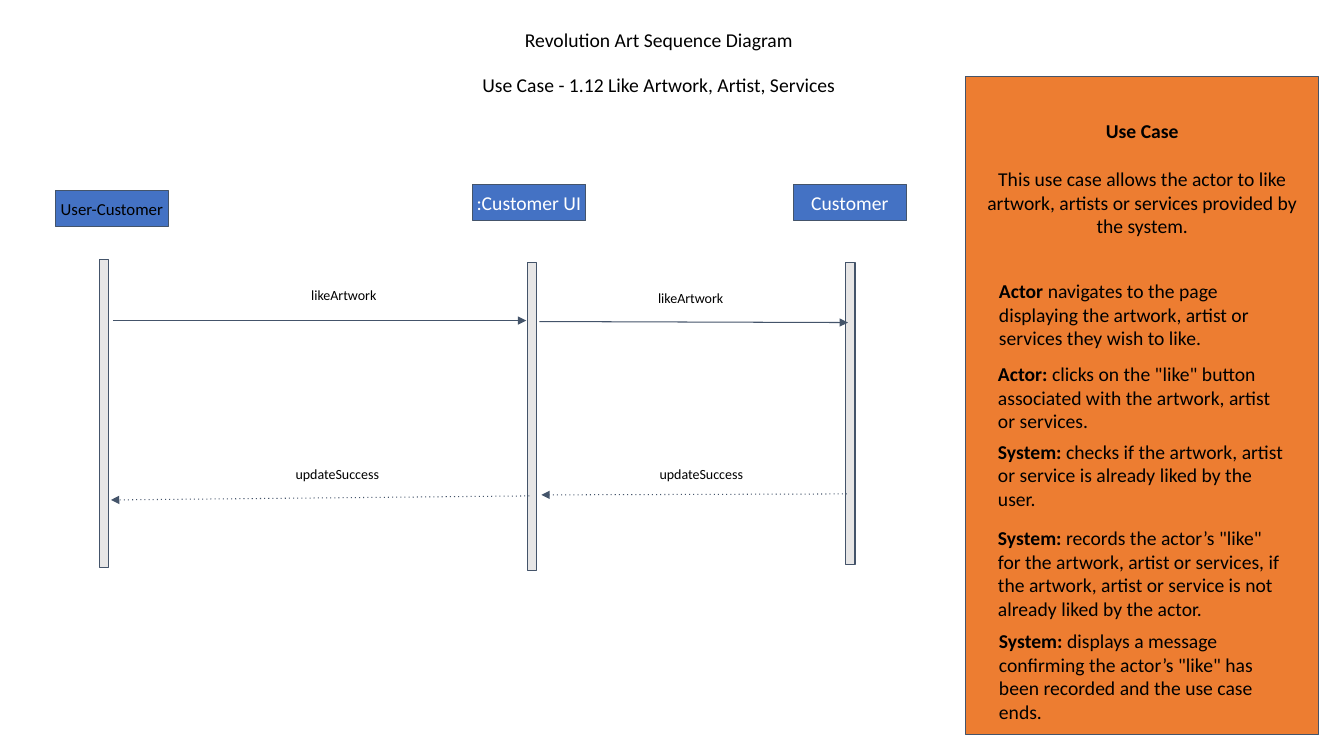
from lxml.etree import SubElement
from pptx import Presentation
from pptx.dml.color import RGBColor
from pptx.enum.shapes import MSO_CONNECTOR, MSO_SHAPE
from pptx.enum.text import PP_ALIGN
from pptx.oxml.ns import qn
from pptx.util import Inches, Pt

COLORS = {
    "blue": "4472C4",
    "slate": "44546A",
    "gray": "E7E6E6",
    "orange": "ED7D31",
    "black": "000000",
    "white": "FFFFFF",
}


def add_rectangle(page, place, fill):
    shape = page.shapes.add_shape(MSO_SHAPE.RECTANGLE, *map(Inches, place))
    shape.shadow.inherit = False
    shape.fill.solid()
    shape.fill.fore_color.rgb = RGBColor.from_string(COLORS[fill])
    shape.line.color.rgb = RGBColor.from_string(COLORS["slate"])
    shape.line.width = Pt(0.75)


def add_text(page, place, spans, size=14, color="black", align=PP_ALIGN.CENTER):
    box = page.shapes.add_textbox(*map(Inches, place))
    frame = box.text_frame
    frame.word_wrap = True
    frame.margin_left = frame.margin_right = Inches(0.1)
    frame.margin_top = frame.margin_bottom = Inches(0.1)
    para = frame.paragraphs[0]
    para.alignment = align
    for words, bold in spans:
        span = para.add_run()
        span.text = words
        span.font.name = "Calibri"
        span.font.size = Pt(size)
        span.font.bold = bold
        span.font.color.rgb = RGBColor.from_string(COLORS[color])


deck = Presentation()
deck.slide_width = Inches(13.33)
deck.slide_height = Inches(7.5)
page = deck.slides.add_slide(deck.slide_layouts[6])

titles = ["Revolution Art Sequence Diagram", "Use Case - 1.12 Like Artwork, Artist, Services"]
for row, title in enumerate(titles):
    add_text(page, (3.69, 0.18 + 0.44 * row, 5.69, 0.44), [(title, False)])

for left, top in [(0.55, 1.89), (4.69, 1.83), (7.87, 1.83)]:
    add_rectangle(page, (left, top, 1.12, 0.36), "blue")

for left, top, height in [(0.99, 2.57, 3.06), (5.23, 2.6, 3.06), (8.39, 2.6, 3)]:
    add_rectangle(page, (left, top, 0.09, height), "gray")

add_rectangle(page, (9.58, 0.76, 3.5, 6.53), "orange")

participants = [
    ("User-Customer", (0.46, 1.87, 1.3, 0.4), 12, "black"),
    (":Customer UI", (2.4, 1.79, 5.69, 0.44), 14, "white"),
    ("Customer", (6.73, 1.79, 3.4, 0.44), 14, "white"),
]
for name, place, size, color in participants:
    add_text(page, place, [(name, False)], size, color)

messages = [
    ("likeArtwork", (2.06, 2.76, 2.7, 0.37), (1.12, 3.18, 5.22, 3.18), False),
    ("likeArtwork", (5.5, 2.79, 2.7, 0.54), (5.35, 3.19, 8.41, 3.2), False),
    ("updateSuccess", (6.04, 4.53, 1.83, 0.37), (8.4, 4.9, 5.37, 4.91), True),
    ("updateSuccess", (2.43, 4.53, 1.83, 0.37), (5.25, 4.92, 1.1, 4.96), True),
]
for label, place, ends, dotted in messages:
    arrow = page.shapes.add_connector(MSO_CONNECTOR.STRAIGHT, *map(Inches, ends))
    arrow.line.color.rgb = RGBColor.from_string(COLORS["slate"])
    arrow.line.width = Pt(0.75)
    outline = arrow.line._get_or_add_ln()
    if dotted:
        SubElement(outline, qn("a:prstDash"), val="dot")
    SubElement(outline, qn("a:tailEnd"), type="triangle")
    SubElement(arrow._element.spPr, qn("a:effectLst"))
    add_text(page, place, [(label, False)], 10)

add_text(page, (9.58, 1.08, 3.5, 0.44), [("Use Case", True)])
summary = "This use case allows the actor to like artwork, artists or services provided by the system."
add_text(page, (9.58, 1.56, 3.5, 1.38), [(summary, False)])

steps = [
    (9.81, 2.67, 0.91, "Actor ",
     "navigates to the page displaying the artwork, artist or services they wish to like."),
    (9.8, 3.49, 0.91, "Actor: ",
     'clicks on the "like" button associated with the artwork, artist or services.'),
    (9.8, 4.26, 0.91, "System: ",
     "checks if the artwork, artist or service is already liked by the user."),
    (9.8, 5.12, 1.14, "System: ",
     'records the actor’s "like" for the artwork, artist or services, '
     "if the artwork, artist or service is not already liked by the actor."),
    (9.81, 6.14, 1.14, "System: ",
     'displays a message confirming the actor’s "like" has been recorded and the use case ends.'),
]
for left, top, height, role, action in steps:
    add_text(page, (left, top, 3.06, height), [(role, True), (action, False)], align=PP_ALIGN.LEFT)

deck.save("out.pptx")
